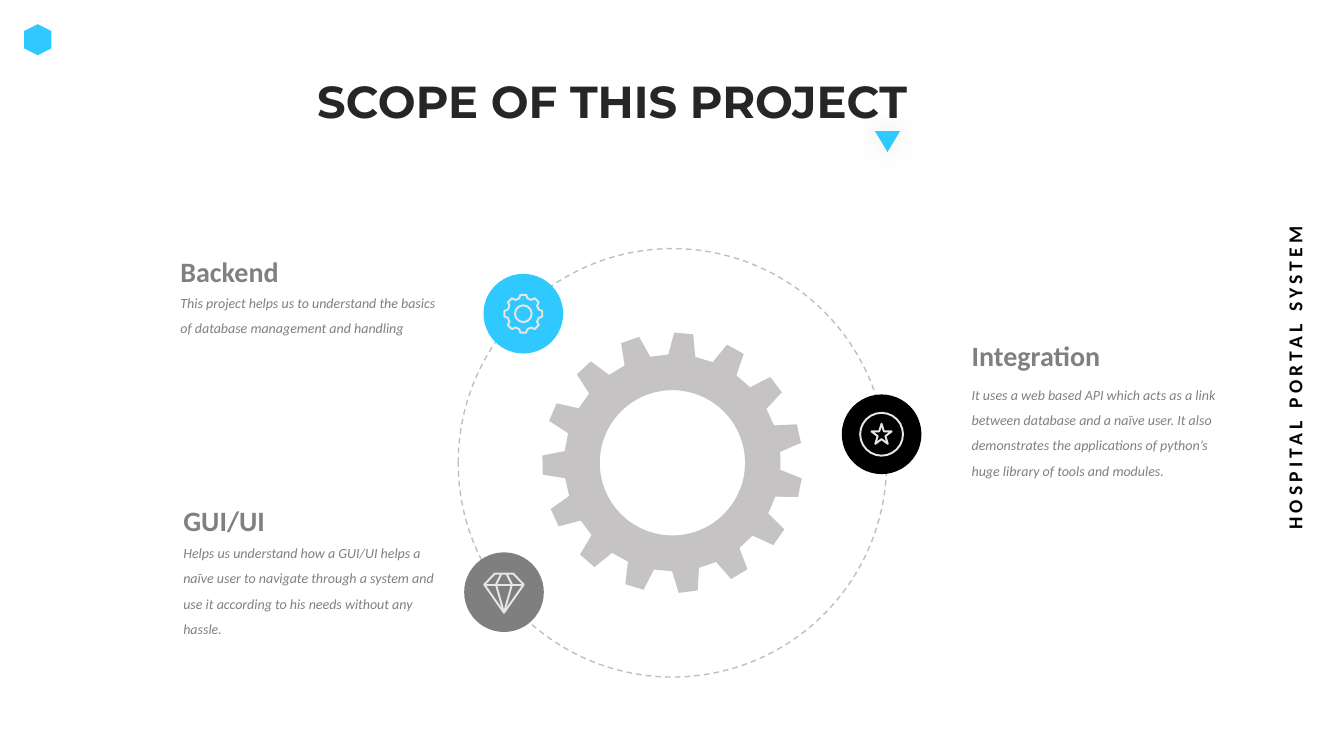
from dataclasses import dataclass
from math import cos, radians, sin

from lxml.etree import SubElement
from pptx import Presentation
from pptx.dml.color import RGBColor
from pptx.enum.dml import MSO_LINE
from pptx.enum.shapes import MSO_SHAPE as Preset
from pptx.enum.text import MSO_ANCHOR, MSO_AUTO_SIZE, PP_ALIGN
from pptx.oxml.ns import qn
from pptx.util import Inches, Pt

COLUMNS = 160  # square cells: 160 columns by 90 rows
CELL = Inches(13.333) / COLUMNS
CYAN, BLACK, GRAY = "2FC9FF", "000000", "7F7F7F"
TEXT_GRAY, GEAR_GRAY, RING_GRAY = "808080", "C5C3C3", "BFBFBF"
TITLE_COLOR, ICON_COLOR = "262626", "E7E6E6"
ICON_LINE = 1.4

Point = tuple[float, float]


@dataclass
class Box:
    column: float
    row: float
    columns: float
    rows: float

    def emu(self) -> list[int]:
        return [cells(n) for n in (self.column, self.row, self.columns, self.rows)]


@dataclass
class Style:
    fill: str | None = None
    line: str | None = None
    width: float = ICON_LINE


@dataclass
class TextStyle:
    size: float
    color: str
    font: str = "Calibri"
    bold: bool = False
    italic: bool = False


@dataclass
class Topic:
    heading: str
    body: str
    column: float
    row: float
    body_offset: float
    body_rows: float
    badge: Point
    badge_color: str


HEADING = TextStyle(20, TEXT_GRAY, bold=True)
BODY = TextStyle(10, TEXT_GRAY, italic=True)
TITLE = TextStyle(32, TITLE_COLOR, "Montserrat", bold=True)
SIDE_LABEL = TextStyle(14, BLACK, bold=True)
ICON = Style(line=ICON_COLOR)

BACKEND = Topic(
    "Backend",
    "This project helps us to understand the basics of database management and handling",
    20.3, 29.65, 3.85, 7, (62.3, 37.35), CYAN)
INTERFACE = Topic(
    "GUI/UI",
    "Helps us understand how a GUI/UI helps a naïve user to navigate through a system "
    "and use it according to his needs without any hassle.",
    20.65, 59.4, 3.85, 13, (60, 70.5), GRAY)
INTEGRATION = Topic(
    "Integration",
    "It uses a web based API which acts as a link between database and a naïve user. "
    "It also demonstrates the applications of python’s huge library of tools and modules.",
    114.5, 39.7, 4.7, 13, (104.95, 51.7), BLACK)


def cells(count: float) -> int:
    return round(count * CELL)


def color(value: str) -> RGBColor:
    return RGBColor.from_string(value)


def paint(shape, style: Style) -> None:
    shape.shadow.inherit = False
    if style.fill:
        shape.fill.solid()
        shape.fill.fore_color.rgb = color(style.fill)
    else:
        shape.fill.background()
    if style.line:
        shape.line.color.rgb = color(style.line)
        shape.line.width = Pt(style.width)
    else:
        shape.line.fill.background()


def add_preset(slide, preset: Preset, box: Box, style: Style):
    shape = slide.shapes.add_shape(preset, *box.emu())
    paint(shape, style)
    return shape


def add_circle(slide, center: Point, radius: float, style: Style):
    box = Box(center[0] - radius, center[1] - radius, 2 * radius, 2 * radius)
    return add_preset(slide, Preset.OVAL, box, style)


def add_outline(slide, contours: list[list[Point]], style: Style, close: bool = True) -> None:
    """Draw all contours as one freeform."""
    builder = None
    for contour in contours:
        start, *rest = [(cells(x), cells(y)) for x, y in contour]
        if builder is None:
            builder = slide.shapes.build_freeform(*start, scale=1.0)
        else:
            builder.move_to(*start)
        builder.add_line_segments(rest, close=close)
    paint(builder.convert_to_shape(), style)


def polar(center: Point, radius: float, angle: float) -> Point:
    return (center[0] + radius * cos(radians(angle)),
            center[1] + radius * sin(radians(angle)))


def gear_contour(center: Point, teeth: int, tip: float, root: float,
                 tip_angle: float, root_angle: float, start: float) -> list[Point]:
    """Angles are half the width of a tooth, in degrees, at its tip and root."""
    corners = ((root, -root_angle), (tip, -tip_angle), (tip, tip_angle), (root, root_angle))
    return [polar(center, radius, start + tooth * 360 / teeth + angle)
            for tooth in range(teeth) for radius, angle in corners]


def add_run(paragraph, text: str, style: TextStyle):
    run = paragraph.add_run()
    run.text = text
    font = run.font
    font.size, font.name = Pt(style.size), style.font
    font.bold, font.italic = style.bold, style.italic
    font.color.rgb = color(style.color)
    return run


def add_text(slide, text: str, box: Box, style: TextStyle, spacing: float = 1.0):
    shape = slide.shapes.add_textbox(*box.emu())
    shape.text_frame.word_wrap = True
    paragraph = shape.text_frame.paragraphs[0]
    paragraph.line_spacing = spacing
    add_run(paragraph, text, style)
    return shape


def add_topic(slide, topic: Topic) -> None:
    add_text(slide, topic.heading, Box(topic.column, topic.row, 24.4, 5.25), HEADING)
    body_row = topic.row + topic.body_offset
    add_text(slide, topic.body, Box(topic.column, body_row, 33.8, topic.body_rows), BODY, 1.5)
    add_circle(slide, topic.badge, 4.74, Style(topic.badge_color))


def add_cog_icon(slide, center: Point) -> None:
    add_outline(slide, [gear_contour(center, 8, 2.28, 1.9, 8.5, 15, 0)], ICON)
    add_circle(slide, center, 1, ICON)


def add_star_icon(slide, center: Point) -> None:
    add_circle(slide, center, 2.55, ICON)
    box = Box(center[0] - 1.2, center[1] - 1.25, 2.4, 2.4)
    add_preset(slide, Preset.STAR_5_POINT, box, ICON)


def add_diamond_icon(slide, center: Point) -> None:
    top, girdle, bottom = -2.2, -0.9, 2.45
    lines = [
        [(-1.1, top), (1.1, top), (2.35, girdle), (0, bottom), (-2.35, girdle), (-1.1, top)],
        [(-2.35, girdle), (2.35, girdle)],
    ]
    lines += [[(side * 0.3, top), (side * 0.95, girdle), (0, bottom)] for side in (-1, 1)]
    placed = [[(center[0] + x, center[1] + y) for x, y in line] for line in lines]
    add_outline(slide, placed, ICON, close=False)


def add_title(slide) -> None:
    title = slide.shapes.title
    title.left, title.top, title.width, title.height = Box(37.45, 9.25, 70.9, 5.9).emu()
    frame = title.text_frame
    frame.margin_left = frame.margin_right = frame.margin_top = frame.margin_bottom = 0
    frame.word_wrap, frame.vertical_anchor = True, MSO_ANCHOR.MIDDLE
    frame.auto_size = MSO_AUTO_SIZE.SHAPE_TO_FIT_TEXT
    paragraph = frame.paragraphs[0]
    paragraph.alignment, paragraph.line_spacing = PP_ALIGN.CENTER, Pt(35)
    add_run(paragraph, "SCOPE OF THIS PROJECT", TITLE)
    marker = add_preset(slide, Preset.ISOSCELES_TRIANGLE, Box(104.15, 15.6, 3, 2.5), Style(CYAN))
    marker.rotation = 180
    effects = marker._element.spPr.find(qn("a:effectLst"))
    shadow = SubElement(effects, qn("a:outerShdw"), blurRad=str(Pt(20)))
    shadow_color = SubElement(shadow, qn("a:srgbClr"), val=BLACK)
    SubElement(shadow_color, qn("a:alpha"), val="12000")


def add_side_label(slide) -> None:
    label = add_text(slide, "HOSPITAL PORTAL SYSTEM", Box(134.5, 42.95, 39.35, 4.1), SIDE_LABEL)
    label.rotation = 270
    label.text_frame.word_wrap = False
    paragraph = label.text_frame.paragraphs[0]
    paragraph.alignment = PP_ALIGN.CENTER
    paragraph.runs[0].font._element.set("spc", "300")


def main() -> None:
    presentation = Presentation()
    presentation.slide_width, presentation.slide_height = Inches(13.333), Inches(7.5)
    slide = presentation.slides.add_slide(presentation.slide_layouts[5])

    center = (80.05, 55.1)
    hole = [polar(center, 8.65, angle) for angle in range(0, 360, 4)]
    teeth = gear_contour(center, 15, 15.5, 12.9, 4.2, 7.2, 11)
    add_outline(slide, [teeth, hole], Style(GEAR_GRAY))
    ring = add_circle(slide, center, 25.5, Style(line=RING_GRAY, width=1))
    ring.line.dash_style = MSO_LINE.DASH

    for topic, add_icon in ((BACKEND, add_cog_icon), (INTEGRATION, add_star_icon),
                            (INTERFACE, add_diamond_icon)):
        add_topic(slide, topic)
        add_icon(slide, topic.badge)

    add_title(slide)
    add_preset(slide, Preset.HEXAGON, Box(2.65, 3.1, 3.7, 3.25), Style(CYAN)).rotation = 270
    add_side_label(slide)
    presentation.save("out.pptx")


if __name__ == "__main__":
    main()
